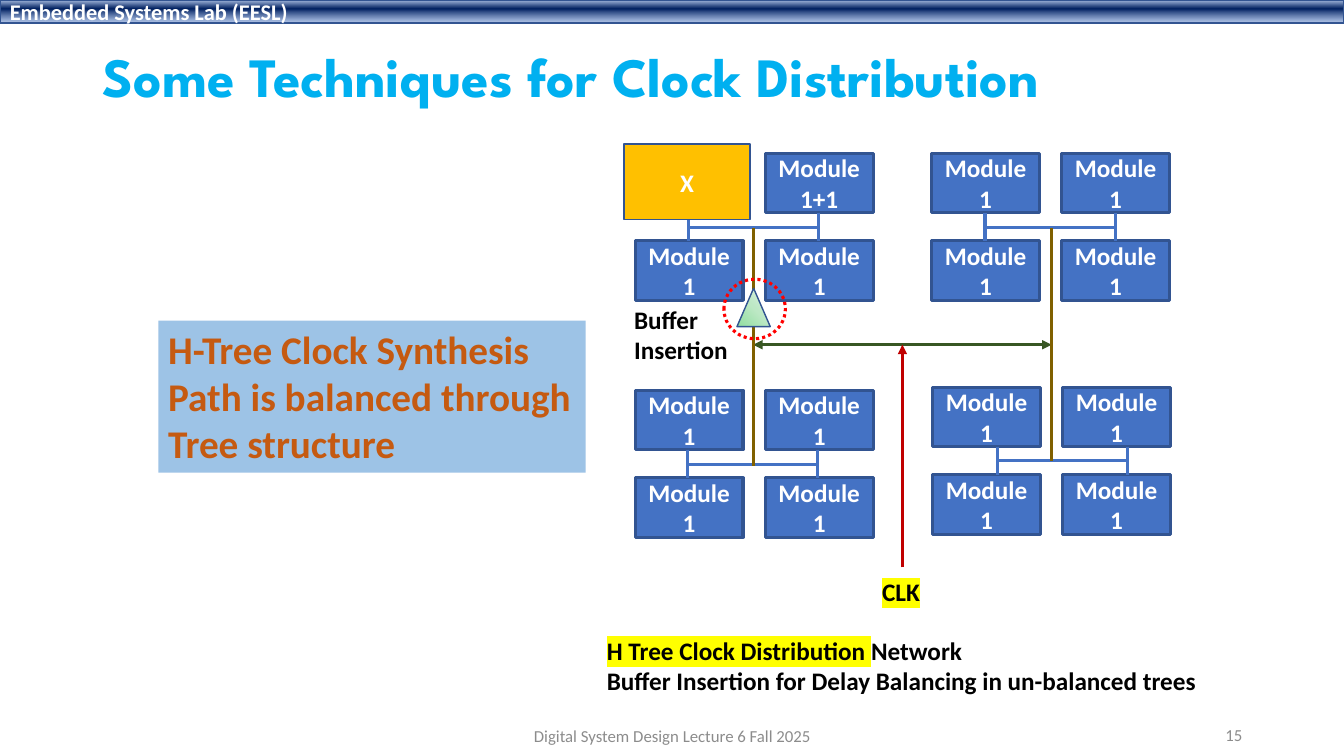
import pptx
import pptx.dml.color
import pptx.enum.dml
import pptx.enum.shapes
import pptx.enum.text
import pptx.oxml
import pptx.oxml.ns
import pptx.util

SHAPE = pptx.enum.shapes.MSO_SHAPE
ALIGN = pptx.enum.text.PP_ALIGN
MIDDLE = pptx.enum.text.MSO_ANCHOR.MIDDLE
AUTOSIZE = pptx.enum.text.MSO_AUTO_SIZE
NS = pptx.oxml.ns.nsdecls("a")
EMU_PER_PX = 9144  # 100 px to the inch

# ---- Content: boxes are (left, top, width, height) in px ----
LAB = "Embedded Systems Lab (EESL)"
TITLE = "Some Techniques for Clock Distribution"
MODULE_SIZE = (107, 59)
MODULE_STEP = (129, 87)
# (left, top), (branch dx, branch dy), module names by row; None leaves a slot free
CLUSTERS = [
    ((630, 152), (53, 74), [[None, "Module 1+1"], ["Module 1", "Module 1"]]),
    ((924, 152), (53, 74), [["Module 1", "Module 1"]] * 2),
    ((630, 387), (52, 74), [["Module 1", "Module 1"]] * 2),
    ((925, 384), (64, 73), [["Module 1", "Module 1"]] * 2),
]
# start, end, colour, arrow ends
CLOCK_WIRES = [
    ((747, 342), (1043, 342), "385723", ("headEnd", "tailEnd")),
    ((747, 226), (747, 462), "806000", ()),
    ((1043, 226), (1043, 457), "806000", ()),
    ((895, 563), (895, 342), "C00000", ("tailEnd",)),
]
# box, paragraphs; each paragraph is a list of (text, highlight)
LABELS = [
    ((865, 567, 58, 40), [[("CLK", "FFFF00")]]),
    ((592, 625, 375, 40), [[("H Tree Clock Distribution ", "FFFF00"), ("Network", None)]]),
    ((592, 655, 649, 40),
     [[("Buffer Insertion for Delay Balancing in un-balanced trees", None)]]),
    ((619, 297, 121, 71), [[("Buffer", None)], [("Insertion", None)]]),
]
SUMMARY = ["H-Tree Clock Synthesis", "Path is balanced through", "Tree structure"]
FOOTERS = [
    ((942, 709, 300, 40), "15", ALIGN.RIGHT),
    ((442, 710, 450, 40), "Digital System Design Lecture 6 Fall 2025", ALIGN.CENTER),
]
# Gradient stops: position %, colour, opacity %
BAR_STOPS = [(2, "ABC0E4", 100), (38, "002060", 100), (93, "7E9ED6", 64)]
BUFFER_STOPS = [(0, "91DEA0", 100), (50, "BDE8C5", 100), (100, "DFF3E3", 100)]
LINEAR_DOWN = '<a:lin ang="5400000" scaled="0"/>'
FROM_CORNER = '<a:path path="circle"><a:fillToRect t="100000" r="100000"/></a:path>'

BOLD = {"name": "Calibri", "size": pptx.util.Pt(18), "bold": True}
LAB_FONT = BOLD | {"size": pptx.util.Pt(16)}
SUMMARY_FONT = BOLD | {"size": pptx.util.Pt(28)}
TITLE_FONT = {"name": "League Spartan", "size": pptx.util.Pt(39.6), "bold": True}
FOOTER_FONT = {"name": "Calibri", "size": pptx.util.Pt(12), "bold": False}
FREE_TEXT = {"word_wrap": False, "auto_size": AUTOSIZE.SHAPE_TO_FIT_TEXT}
FRAMED = {"word_wrap": True, "vertical_anchor": MIDDLE, "auto_size": AUTOSIZE.NONE}


# ---- Helpers ----
def emu(*lengths):
    return [length * EMU_PER_PX for length in lengths]


def rgb(code):
    return pptx.dml.color.RGBColor.from_string(code)


def apply(target, values):
    for name, value in values.items():
        setattr(target, name, value)


def write(frame, paragraphs, font, colour, layout, align=ALIGN.LEFT):
    apply(frame, layout)
    for index, pieces in enumerate(paragraphs):
        paragraph = frame.paragraphs[0] if index == 0 else frame.add_paragraph()
        paragraph.alignment = align
        for words, highlight in pieces:
            run = paragraph.add_run()
            run.text = words
            apply(run.font, font)
            run.font.color.rgb = rgb(colour)
            if highlight:
                mark = pptx.oxml.parse_xml(
                    f'<a:highlight {NS}><a:srgbClr val="{highlight}"/></a:highlight>')
                run.font.fill  # colour precedes the highlight, typeface follows it
                run._r.rPr.find(pptx.oxml.ns.qn("a:latin")).addprevious(mark)


def add_block(kind, box, fill=None, line="325491", weight=1):
    block = slide.shapes.add_shape(kind, *emu(*box))
    block.shadow.inherit = False
    if fill:
        block.fill.solid()
        block.fill.fore_color.rgb = rgb(fill)
    else:
        block.fill.background()
    if line:
        block.line.color.rgb = rgb(line)
        block.line.width = pptx.util.Pt(weight)
    else:
        block.line.fill.background()
    return block


def shade(block, stops, direction):
    block.fill.gradient()
    marks = "".join(
        f'<a:gs pos="{pos * 1000}"><a:srgbClr val="{code}">'
        f'<a:alpha val="{opacity * 1000}"/></a:srgbClr></a:gs>'
        for pos, code, opacity in stops)
    gradient = pptx.oxml.parse_xml(
        f'<a:gradFill {NS} rotWithShape="1"><a:gsLst>{marks}</a:gsLst>{direction}</a:gradFill>')
    properties = block._element.spPr
    properties.replace(properties.find(pptx.oxml.ns.qn("a:gradFill")), gradient)


def add_wire(start, end, colour="4472C4", arrows=()):
    wire = slide.shapes.add_connector(
        pptx.enum.shapes.MSO_CONNECTOR.STRAIGHT, *emu(*start, *end))
    wire.line.color.rgb = rgb(colour)
    wire.line.width = pptx.util.Pt(2.25)
    for arrow in arrows:
        wire.line._get_or_add_ln().append(
            pptx.oxml.parse_xml(f'<a:{arrow} {NS} type="triangle"/>'))
    wire._element.spPr.append(pptx.oxml.parse_xml(f"<a:effectLst {NS}/>"))


def add_cluster(origin, branch, names):
    left, top = origin
    width, height = MODULE_SIZE
    step_x, step_y = MODULE_STEP
    for row, row_names in enumerate(names):
        for column, name in enumerate(row_names):
            if name:
                box = (left + column * step_x, top + row * step_y, width, height)
                module = add_block(SHAPE.RECTANGLE, box, "4472C4", weight=2.25)
                write(module.text_frame, [[(name, None)]], BOLD, "FFFFFF", FRAMED, ALIGN.CENTER)
    # H-shaped branch: crossbar and two stubs
    first, crossbar = left + branch[0], top + branch[1]
    add_wire((first, crossbar), (first + step_x, crossbar))
    for stub in (first, first + step_x):
        add_wire((stub, top + height), (stub, top + step_y))


# ---- Slide, header bar and title ----
deck = pptx.Presentation()
deck.slide_width, deck.slide_height = emu(1333, 750)
slide = deck.slides.add_slide(deck.slide_layouts[5])

header = add_block(SHAPE.RECTANGLE, (0, 0, 1333, 23))
shade(header, BAR_STOPS, LINEAR_DOWN)
write(header.text_frame, [[(LAB, None)]], LAB_FONT, "FFFFFF", FRAMED)

title = slide.shapes.title
apply(title, dict(zip(("left", "top", "width", "height"), emu(92, 22, 1150, 114))))
write(title.text_frame, [[(TITLE, None)]], TITLE_FONT, "00B0F0", FRAMED)
title.text_frame.paragraphs[0].line_spacing = 0.9

# ---- Clock tree ----
for cluster in CLUSTERS:
    add_cluster(*cluster)
for clock_wire in CLOCK_WIRES:
    add_wire(*clock_wire)

# ---- Inserted buffer and the oversized module ----
buffer_gate = add_block(SHAPE.ISOSCELES_TRIANGLE, (731, 286, 33, 38))
shade(buffer_gate, BUFFER_STOPS, FROM_CORNER)
buffer_ring = add_block(SHAPE.OVAL, (718, 277, 61, 59), line="FF0000", weight=2.25)
buffer_ring.line.dash_style = pptx.enum.dml.MSO_LINE.ROUND_DOT
large_module = add_block(SHAPE.RECTANGLE, (619, 143, 125, 75), "FFC000")
write(large_module.text_frame, [[("X", None)]], BOLD, "FFFFFF", FRAMED, ALIGN.CENTER)

# ---- Labels, summary and footers ----
for box, paragraphs in LABELS:
    label = slide.shapes.add_textbox(*emu(*box))
    write(label.text_frame, paragraphs, BOLD, "000000", FREE_TEXT)

summary = add_block(SHAPE.RECTANGLE, (157, 318, 424, 151), "9DC3E6", line=None)
write(summary.text_frame, [[(words, None)] for words in SUMMARY], SUMMARY_FONT, "C55A11",
      FREE_TEXT | {"vertical_anchor": pptx.enum.text.MSO_ANCHOR.TOP})

for box, words, align in FOOTERS:
    footer = slide.shapes.add_textbox(*emu(*box))
    write(footer.text_frame, [[(words, None)]], FOOTER_FONT, "8C8C8C", FRAMED, align)

deck.save("out.pptx")
